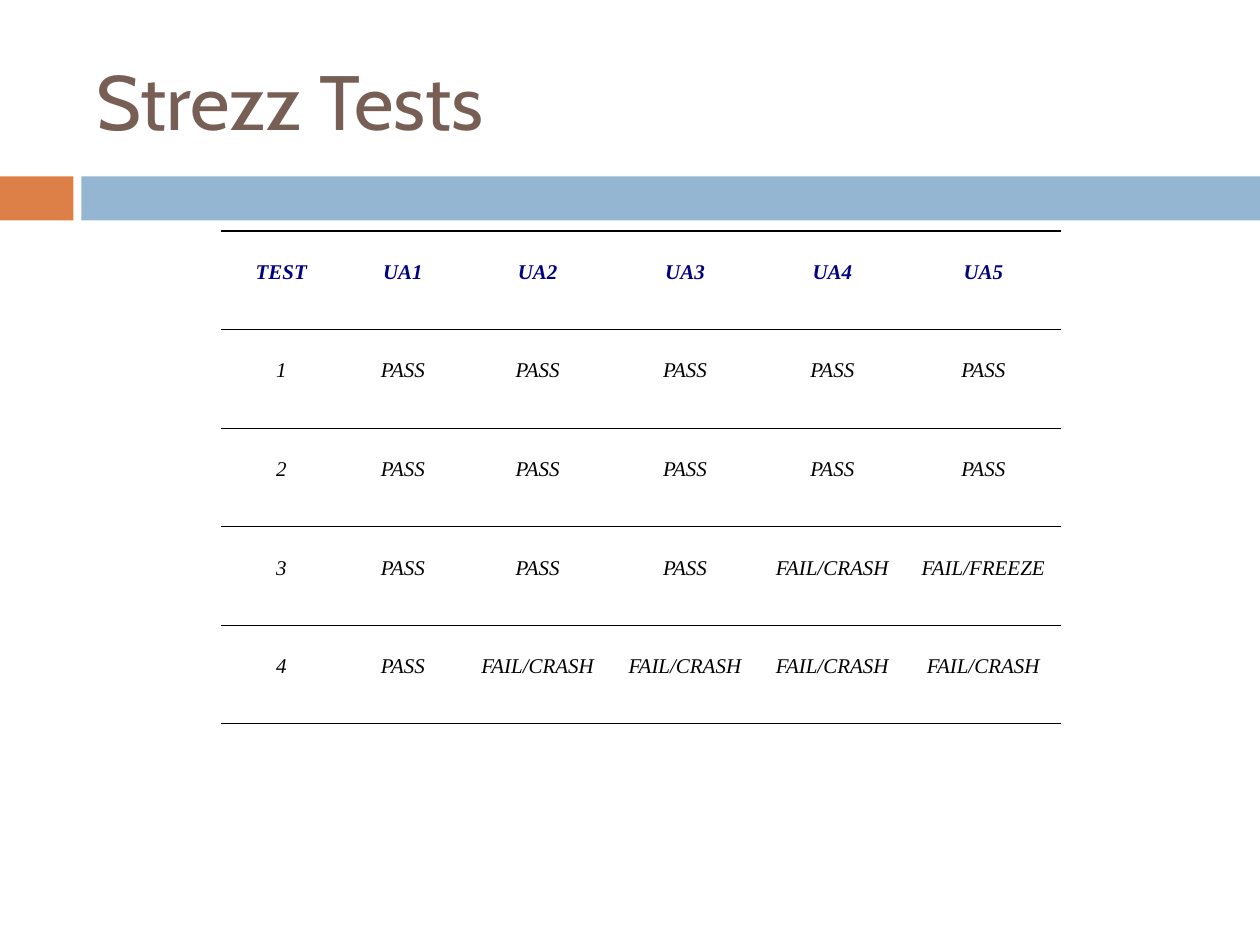
from lxml.etree import SubElement as Sub
from pptx import Presentation
from pptx.dml.color import RGBColor
from pptx.enum.shapes import MSO_SHAPE as Shape
from pptx.enum.text import MSO_ANCHOR as Anchor, MSO_AUTO_SIZE as Fit, PP_ALIGN as Align
from pptx.oxml.ns import qn
from pptx.util import Pt

ROWS = [
    ["TEST", "UA1", "UA2", "UA3", "UA4", "UA5"],
    ["1"] + ["PASS"] * 5,
    ["2"] + ["PASS"] * 5,
    ["3"] + ["PASS"] * 3 + ["FAIL/CRASH", "FAIL/FREEZE"],
    ["4", "PASS"] + ["FAIL/CRASH"] * 4,
]
WIDTHS = [69.1, 69.9, 84.2, 84.2, 84.2, 88.4]
ROW = 56.34
THICK, THIN = 0.75, 0.45


def color(code):
    return RGBColor.from_string(code)


def style(font, name, size, code, bold=False, italic=False):
    font.name, font.size = name, Pt(size)
    font.bold, font.italic = bold, italic
    font.color.rgb = color(code)


def add_bar(slide, left, width, code):
    bar = slide.shapes.add_shape(Shape.RECTANGLE, Pt(left), Pt(100.8), Pt(width), Pt(25.2))
    bar.shadow.inherit = False
    bar.fill.solid()
    bar.fill.fore_color.rgb = color(code)
    bar.line.fill.background()


def set_title(slide, text):
    title = slide.shapes.title
    title.left, title.top, title.width, title.height = Pt(48), Pt(18), Pt(642), Pt(78)
    frame = title.text_frame
    frame.text = text
    frame.auto_size = Fit.NONE
    frame.vertical_anchor = Anchor.MIDDLE
    para = frame.paragraphs[0]
    para.alignment = Align.LEFT
    style(para.font, "Cabin", 44, "775F55")


def rule_cell(cell, top, bottom):
    """Draw black lines above and below the cell, and none at its sides."""
    props = cell._tc.get_or_add_tcPr()
    for side, width in (("L", 0), ("R", 0), ("T", top), ("B", bottom)):
        line = Sub(props, qn(f"a:ln{side}"), w=str(Pt(width)))
        if width:
            Sub(Sub(line, qn("a:solidFill")), qn("a:srgbClr"), val="000000")
        else:
            Sub(line, qn("a:noFill"))
    cell.fill.background()


def fill_cell(cell, text, head):
    cell.text = text
    cell.vertical_anchor = Anchor.TOP
    cell.margin_left = cell.margin_right = Pt(5.4)
    cell.margin_top = cell.margin_bottom = Pt(3.6)
    para = cell.text_frame.paragraphs[0]
    para.alignment = Align.CENTER
    para.line_spacing = 2.0
    style(para.font, "Times New Roman", 12, "000080" if head else "000000", head, True)


def add_grid(slide):
    count = len(ROWS)
    grid = slide.shapes.add_table(count, len(WIDTHS), Pt(126.2), Pt(132),
                                  Pt(sum(WIDTHS)), Pt(ROW * count)).table
    grid.first_row = grid.horz_banding = False
    for col, width in zip(grid.columns, WIDTHS):
        col.width = Pt(width)
    rules = [THICK, THICK] + [THIN] * (count - 2) + [THICK]
    for r, texts in enumerate(ROWS):
        grid.rows[r].height = Pt(ROW)
        for c, text in enumerate(texts):
            cell = grid.cell(r, c)
            fill_cell(cell, text, r == 0)
            rule_cell(cell, rules[r], rules[r + 1])


def main():
    deck = Presentation()
    deck.slide_width, deck.slide_height = Pt(720), Pt(540)
    slide = deck.slides.add_slide(deck.slide_layouts[5])
    add_bar(slide, 0, 42, "DD8047")
    add_bar(slide, 46.5, 673.5, "94B6D2")
    set_title(slide, "Strezz Tests")
    add_grid(slide)
    deck.save("out.pptx")


if __name__ == "__main__":
    main()
